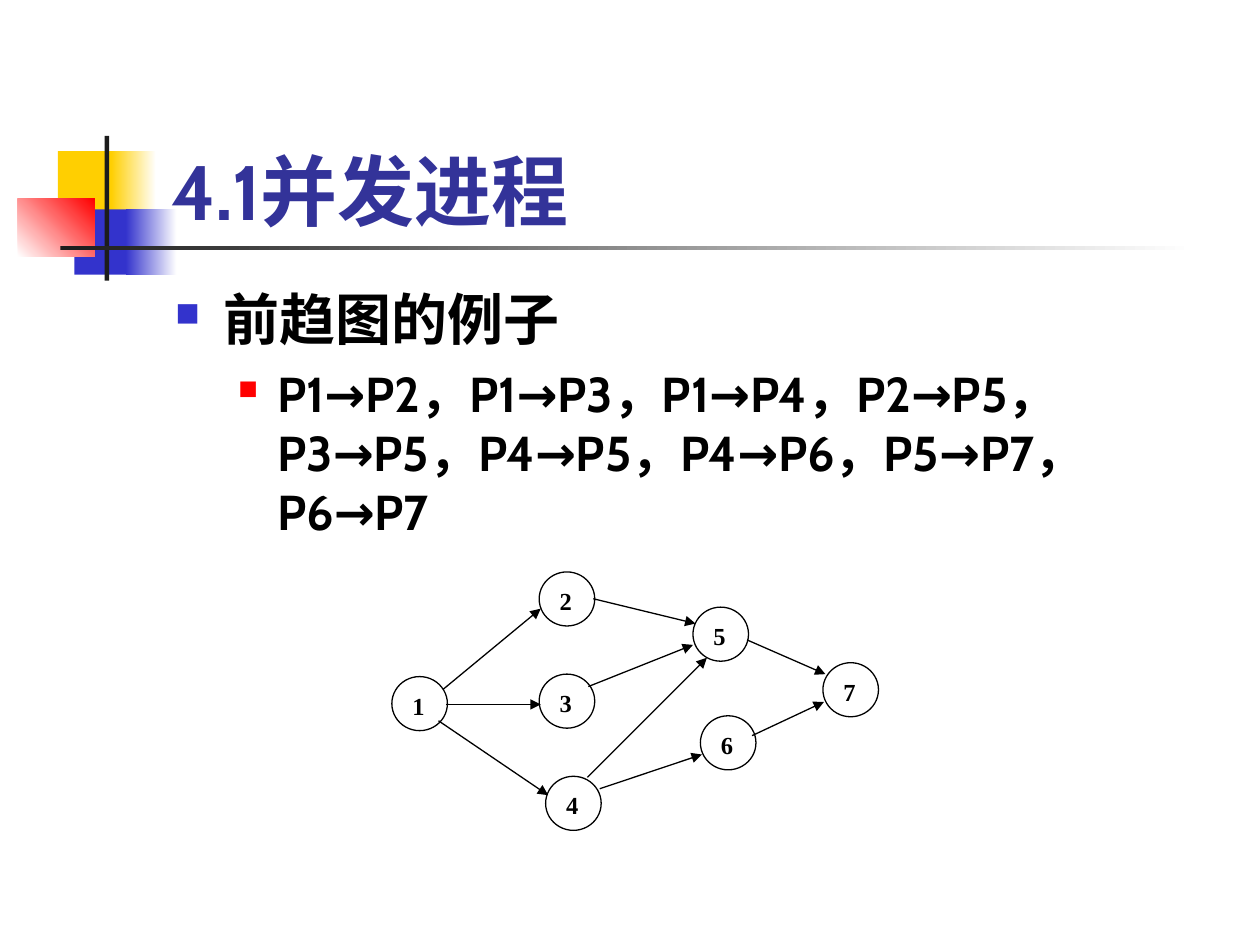
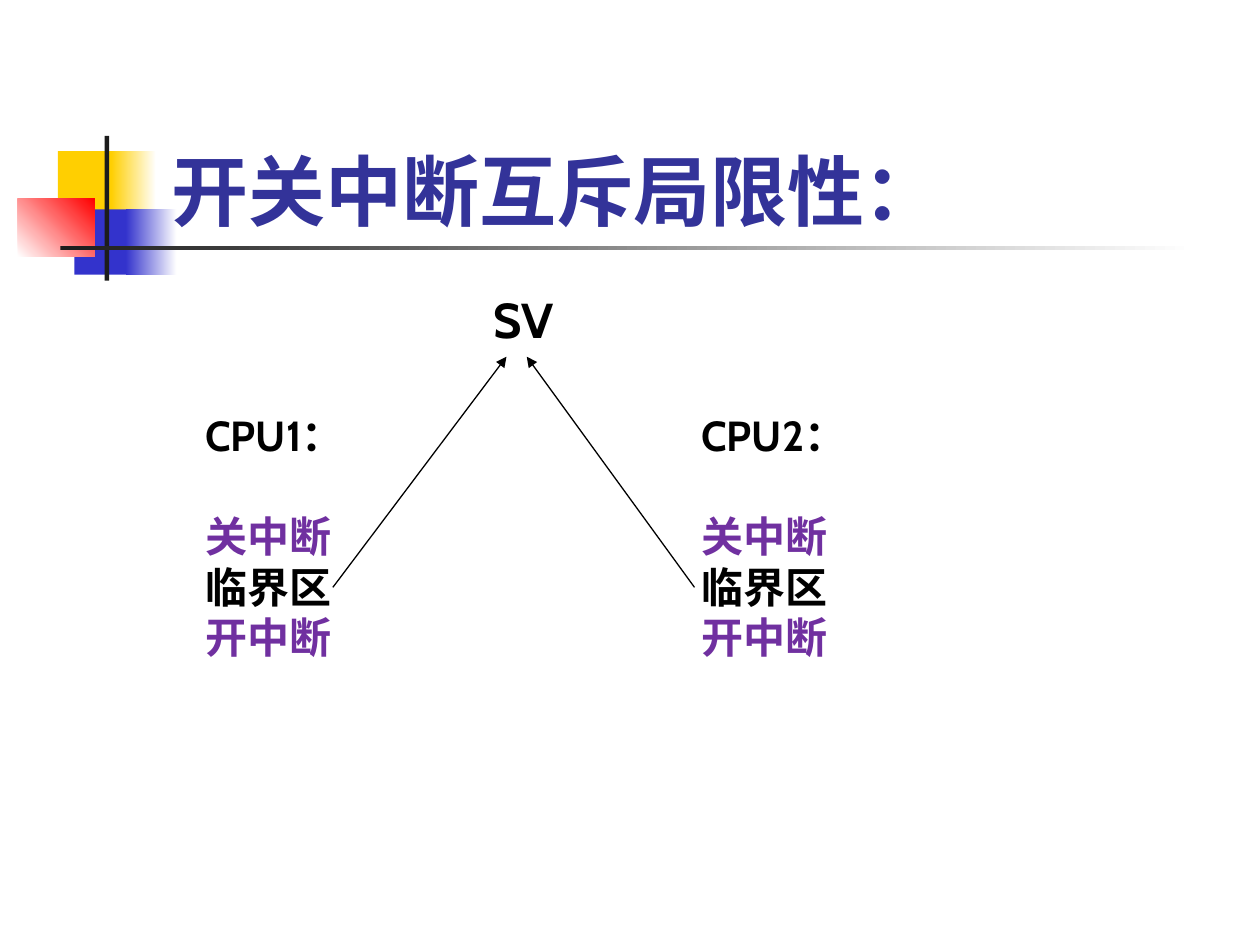
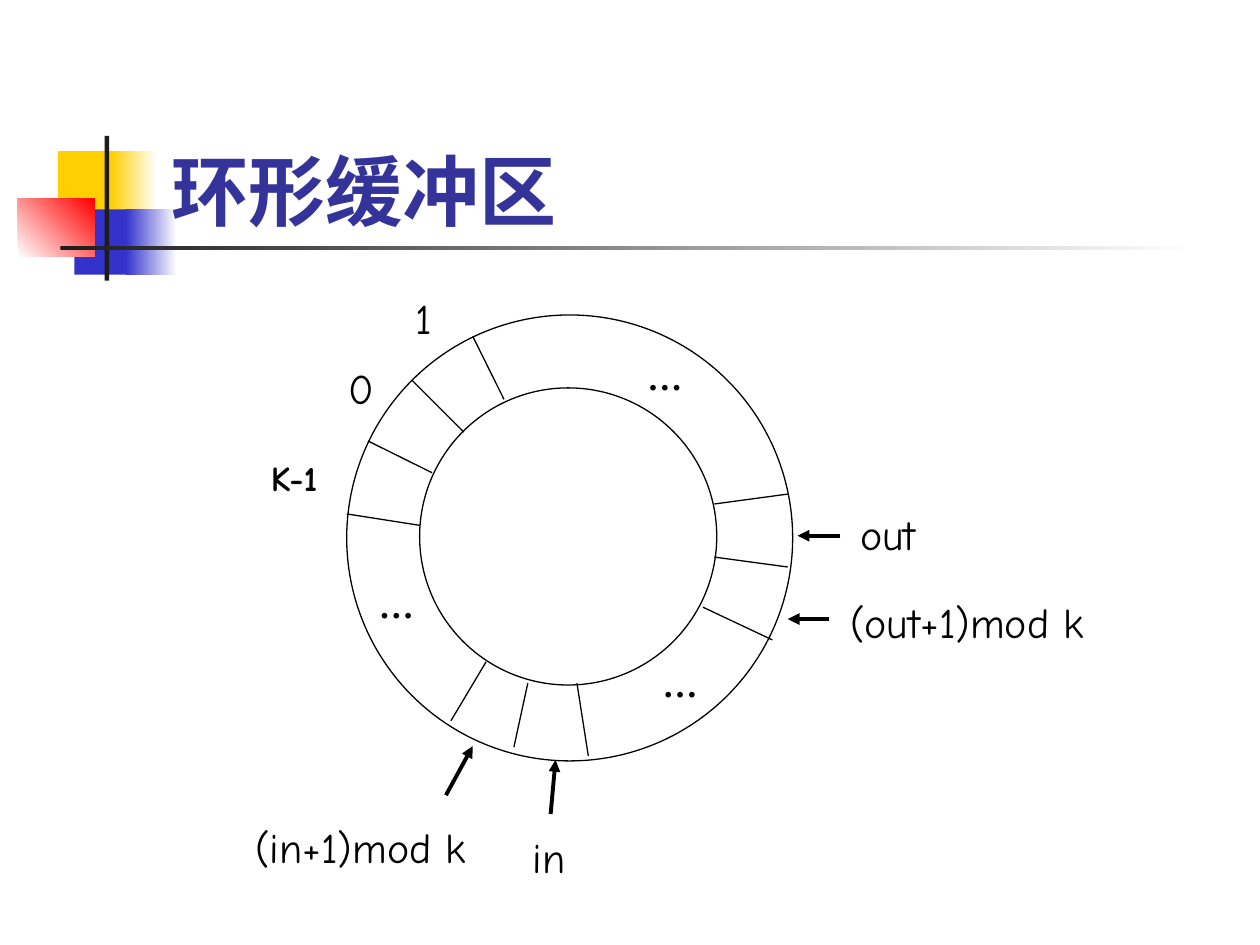
"""Build three slides on concurrent processes."""
from dataclasses import dataclass

from lxml.etree import SubElement
from pptx import Presentation
from pptx.dml.color import RGBColor
from pptx.enum.lang import MSO_LANGUAGE_ID
from pptx.enum.shapes import MSO_CONNECTOR, MSO_SHAPE
from pptx.enum.text import MSO_ANCHOR, MSO_AUTO_SIZE, PP_ALIGN
from pptx.oxml.ns import qn
from pptx.util import Cm, Pt


@dataclass(frozen=True)
class Theme:
    black: str = "000000"
    white: str = "FFFFFF"
    ink: str = "1C1C1C"
    gold: str = "FFCF01"
    blue: str = "3333CC"
    red: str = "FF0000"
    navy: str = "333399"
    purple: str = "7030A0"
    sans: str = "Cabin"
    hand: str = "Comic Neue"
    serif: str = "Times New Roman"
    title: int = 44
    head: int = 32
    body: int = 28
    text: int = 24
    small: int = 20
    node: int = 14
    thin: float = 0.75
    thick: float = 2.25


class Deck:
    def __init__(self, theme):
        self.theme = theme
        self.show = Presentation()
        self.show.slide_width, self.show.slide_height = Cm(25.4), Cm(19.05)
        self.slide = None

    def start(self, title):
        self.slide = self.show.slides.add_slide(self.show.slide_layouts[6])
        self.band()
        t = self.theme
        frame = self.text((3.2, 1.7, 21.64, 3.18), [title], t.title,
                          color=t.navy, bold=True, grow=False)
        frame.vertical_anchor = MSO_ANCHOR.BOTTOM

    def band(self):
        t = self.theme
        self.shape((1.17, 3.05, 1.22, 1.32), (t.gold,))
        self.shape((2.24, 3.05, 0.91, 1.32), (t.gold, t.white))
        self.shape((1.5, 4.22, 1.17, 1.32), (t.blue,))
        self.shape((2.54, 4.22, 1.02, 1.32), (t.blue, t.white))
        self.shape((0.36, 4.01, 1.55, 1.17), (t.white, t.red), angle=45)
        self.shape((2.11, 2.74, 0.09, 2.92), (t.ink,))
        self.shape((1.22, 4.95, 22.86, 0.09), (t.ink, t.white))

    def shape(self, box, fill=(), kind=MSO_SHAPE.RECTANGLE, angle=0, edge=None):
        item = self.slide.shapes.add_shape(kind, *map(Cm, box))
        item.shadow.inherit = False
        if len(fill) == 2:
            item.fill.gradient()
            item.fill.gradient_angle = angle
            for stop, color in zip(item.fill.gradient_stops, fill):
                stop.color.rgb = RGBColor.from_string(color)
        elif fill:
            item.fill.solid()
            item.fill.fore_color.rgb = RGBColor.from_string(fill[0])
        else:
            item.fill.background()
        if edge:
            item.line.color.rgb = RGBColor.from_string(edge)
            item.line.width = Pt(self.theme.thin)
        else:
            item.line.fill.background()
        return item

    def circle(self, box, fill=()):
        return self.shape(box, fill, MSO_SHAPE.OVAL, edge=self.theme.black)

    def node(self, name, left, top):
        t = self.theme
        frame = self.circle((left, top, 1.12, 1.09), (t.white,)).text_frame
        frame.text = name
        frame.vertical_anchor = MSO_ANCHOR.TOP
        frame.paragraphs[0].alignment = PP_ALIGN.JUSTIFY
        self.style(frame.paragraphs[0], t.node, t.serif, t.black, True)

    def style(self, para, size, face, color, bold):
        for run in para.runs:
            font = run.font
            font.size, font.name, font.bold = Pt(size), face, bold
            font.color.rgb = RGBColor.from_string(color)
            font.language_id = MSO_LANGUAGE_ID.SIMPLIFIED_CHINESE

    def text(self, box, lines, size, face=None, color=None, bold=False, grow=True):
        t = self.theme
        frame = self.slide.shapes.add_textbox(*map(Cm, box)).text_frame
        frame.word_wrap = True
        if grow:
            frame.auto_size = MSO_AUTO_SIZE.SHAPE_TO_FIT_TEXT
        frame.text = "\n".join(lines)
        for para in frame.paragraphs:
            self.style(para, size, face or t.sans, color or t.black, bold)
        return frame

    def bullet(self, para, left, hang, color, scale):
        props = para._p.get_or_add_pPr()
        props.set("marL", str(Cm(left)))
        props.set("indent", str(-Cm(hang)))
        SubElement(SubElement(props, qn("a:buClr")), qn("a:srgbClr"), val=color)
        SubElement(props, qn("a:buSzPct"), val=str(scale * 1000))
        SubElement(props, qn("a:buChar"), char="■")

    def line(self, ends, width=None, arrow=False):
        link = self.slide.shapes.add_connector(MSO_CONNECTOR.STRAIGHT, *map(Cm, ends))
        link.line.color.rgb = RGBColor.from_string(self.theme.black)
        link.line.width = Pt(width or self.theme.thin)
        props = link.element.spPr
        if arrow:
            SubElement(props.find(qn("a:ln")), qn("a:tailEnd"), type="triangle")
        SubElement(props, qn("a:effectLst"))


def graph(deck):
    t = deck.theme
    deck.start("4.1并发进程")
    pairs = ("12", "13", "14", "25", "35", "45", "46", "57", "67")
    edges = "，".join(f"P{a}→P{b}" for a, b in pairs)
    frame = deck.text((3.28, 5.61, 21.59, 11.43), ["前趋图的例子", edges],
                      t.head, bold=True, grow=False)
    first, second = frame.paragraphs
    deck.bullet(first, 0.97, 0.97, t.blue, 60)
    deck.bullet(second, 2.06, 0.79, t.red, 55)
    second.level = 1
    second.space_before = Pt(7)
    second.runs[0].font.size = Pt(t.body)
    spots = ((7.9, 13.64), (10.87, 11.53), (10.87, 13.59), (11, 15.65),
             (13.97, 12.24), (14.12, 14.43), (16.59, 13.36))
    for name, spot in enumerate(spots, 1):
        deck.node(str(name), *spot)
    for ends in ((8.94, 13.89, 10.9, 12.27), (8.99, 14.2, 10.9, 14.2),
                 (8.84, 14.53, 11.05, 16.03), (11.96, 12.07, 14.02, 12.57),
                 (11.86, 13.84, 13.97, 13), (11.84, 15.67, 14.25, 13.26),
                 (12.09, 15.9, 14.15, 15.21), (15.06, 12.9, 16.64, 13.59),
                 (15.16, 14.83, 16.61, 14.15)):
        deck.line(ends, arrow=True)


def limits(deck):
    t = deck.theme
    deck.start("开关中断互斥局限性：")
    for name, left in (("CPU1：", 3.89), ("CPU2：", 13.89)):
        frame = deck.text((left, 8.13, 7.39, 5.33),
                          [name, "关中断", "临界区", "开中断"], t.text, bold=True)
        lines = frame.paragraphs
        lines[1].space_before = Pt(29)
        for para in (lines[1], lines[3]):
            para.runs[0].font.color.rgb = RGBColor.from_string(t.purple)
    frame = deck.text((8.51, 5.72, 4.09, 1.45), ["SV"], t.body, bold=True)
    frame.paragraphs[0].alignment = PP_ALIGN.CENTER
    for ends in ((6.71, 11.84, 10.21, 7.19), (14, 11.84, 10.62, 7.19)):
        deck.line(ends, arrow=True)


def ring(deck):
    t = deck.theme
    deck.start("环形缓冲区")
    deck.circle((6.99, 6.35, 8.99, 8.99))
    deck.circle((8.46, 7.82, 5.99, 5.99), (t.white,))
    for ends in ((8.31, 7.67, 9.35, 8.71), (9.53, 6.78, 10.16, 8.05),
                 (7.42, 8.89, 8.71, 9.53), (6.99, 10.36, 8.46, 10.59),
                 (14.4, 11.23, 15.88, 11.43), (14.17, 12.24, 15.57, 12.9),
                 (14.4, 10.16, 15.88, 9.96), (11.63, 13.77, 11.86, 15.24),
                 (9.8, 13.34, 9.09, 14.53), (10.64, 13.77, 10.36, 15.06)):
        deck.line(ends)
    for ends in ((16.94, 10.8, 16.08, 10.8), (16.71, 12.48, 15.88, 12.48),
                 (11.1, 16.41, 11.2, 15.32), (8.99, 16.03, 9.53, 15.04)):
        deck.line(ends, t.thick, arrow=True)
    deck.text((5.21, 9.07, 2.01, 1.12), ["K-1"], t.small, t.hand, bold=True)
    for label, left, top, width in (
            ("0", 6.78, 7.19, 1.27), ("1", 8.13, 5.77, 1.17),
            ("in", 10.49, 16.64, 1.27), ("(in+1)mod k", 4.9, 16.43, 5.28),
            ("out", 17.09, 10.13, 1.91), ("(out+1)mod k", 16.89, 11.91, 6.15)):
        deck.text((left, top, width, 1.27), [label], t.text, t.hand)
    for left, top in ((7.39, 11.63), (13.11, 13.23), (12.8, 7.04)):
        deck.text((left, top, 1.09, 1.12), ["…"], t.small, t.serif, bold=True)


def main():
    deck = Deck(Theme())
    for build in (graph, limits, ring):
        build(deck)
    deck.show.save("out.pptx")


if __name__ == "__main__":
    main()
